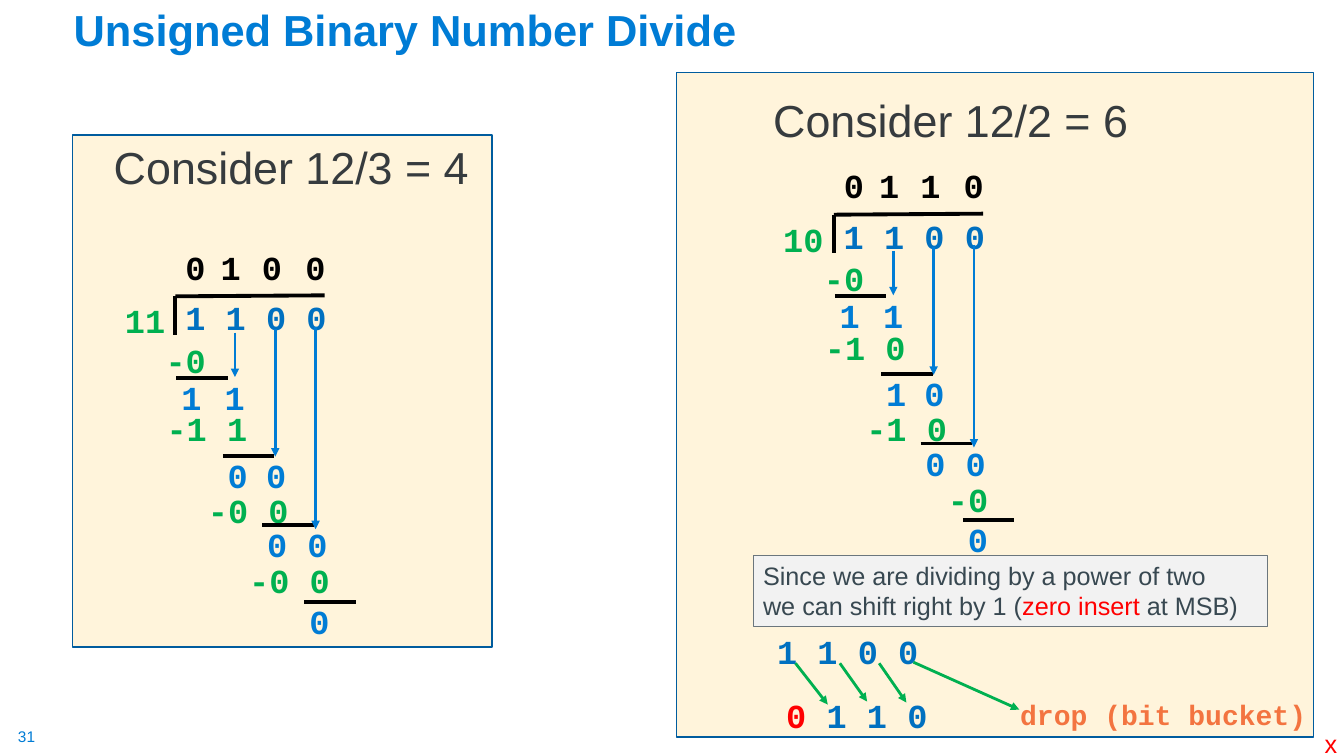
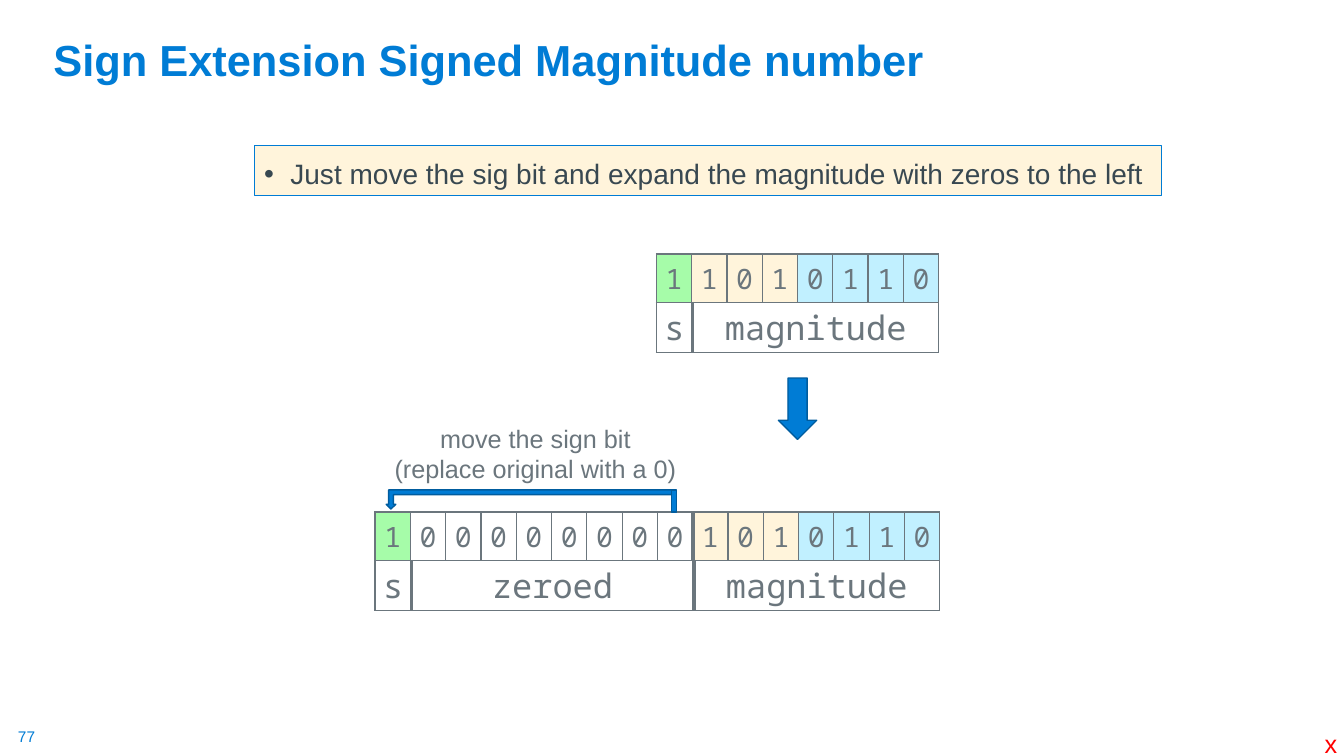
from lxml.etree import SubElement
from pptx import Presentation
from pptx.dml.color import RGBColor
from pptx.enum.shapes import MSO_CONNECTOR, MSO_SHAPE
from pptx.enum.text import MSO_ANCHOR, MSO_AUTO_SIZE, PP_ALIGN
from pptx.oxml.ns import qn
from pptx.util import Inches, Pt

COLORS = {name: RGBColor.from_string(value) for name, value in {
    "blue": "007CD5", "bit blue": "0070C0", "dark blue": "005C9E", "green": "00B050",
    "red": "FF0000", "orange": "F37440", "black": "000000", "heading": "363B3E",
    "body": "384851", "gray": "6B767D", "cream": "FFF4DB", "light gray": "F2F2F2",
    "sign": "A6FCA9", "low bits": "C1F0FF",
}.items()}
SANS, MONO, TABLE_FONT = "Arial", "Courier New", "Noto Sans Mono"


def write(slide, left, top, width, height, text, color, size=24, font=MONO,
          align=PP_ALIGN.LEFT):
    """Add a text box; parts between bars are red, and mono text is bold."""
    box = slide.shapes.add_textbox(Inches(left), Inches(top), Inches(width), Inches(height))
    frame = box.text_frame
    frame.word_wrap = True
    for index, line in enumerate(text.split("\n")):
        paragraph = frame.add_paragraph() if index else frame.paragraphs[0]
        paragraph.alignment = align
        paragraph.font.name, paragraph.font.size = font, Pt(size)
        paragraph.font.bold = font == MONO
        paragraph.font.color.rgb = COLORS[color]
        for position, part in enumerate(line.split("|")):
            if part:
                run = paragraph.add_run()
                run.text = part
                if position % 2:
                    run.font.color.rgb = COLORS["red"]
    return box


def draw_line(slide, x1, y1, x2, y2, color="black", width=2.75, arrow=False):
    line = slide.shapes.add_connector(
        MSO_CONNECTOR.STRAIGHT, Inches(x1), Inches(y1), Inches(x2), Inches(y2))
    line.line.color.rgb = COLORS[color]
    line.line.width = Pt(width)
    if arrow:
        SubElement(line.line._get_or_add_ln(), qn("a:tailEnd"), type="triangle")
    SubElement(line._element.spPr, qn("a:effectLst"))


prs = Presentation()
prs.slide_width, prs.slide_height = Inches(13.33), Inches(7.5)

# Title, slide number and corner mark
slides = []
for layout, number, heading, left, top, width, height in (
    (5, "31", "Unsigned Binary Number Divide", 0.63, 0.1, 12.08, 0.51),
    (1, "77", "Sign Extension Signed Magnitude number", 0.43, 0.32, 12.61, 0.58),
):
    slide = prs.slides.add_slide(prs.slide_layouts[layout])
    slides.append(slide)
    title = slide.shapes.title
    title.left, title.top = Inches(left), Inches(top)
    title.width, title.height = Inches(width), Inches(height)
    title.text_frame.text = heading
    title.text_frame.auto_size = MSO_AUTO_SIZE.NONE
    title.text_frame.vertical_anchor = MSO_ANCHOR.BOTTOM
    paragraph = title.text_frame.paragraphs[0]
    paragraph.alignment = PP_ALIGN.LEFT
    paragraph.line_spacing = 0.9
    paragraph.font.name, paragraph.font.size, paragraph.font.bold = SANS, Pt(31), True
    paragraph.font.color.rgb = COLORS["blue"]
    write(slide, 0.08, 7.16, 0.5, 0.29, number, "blue", 11, SANS)
    write(slide, 13.04, 7.18, 0.29, 0.32, "x", "red", 18, SANS)
divide, extension = slides

# Two long divisions, each placed from the corner of its division bracket
QUOTIENT_X = (0, 0.35, 0.76, 1.19)
STEPS = ((0.38, 0.01, 0.81), (1.06, 0.47, 1.58), (1.87, 0.86, 2.27), (2.57, 1.28, 3.03))
BRING_DOWN = ((0.36, 0.8), (0.32, 1.59), (0.3, 2.31))
for panel, heading_at, (x, y), heading, divisor, quotient, subtrahends, remainders in (
    ((0.72, 1.34, 4.16, 5.08), (1.03, 1.34), (1.74, 2.94), "Consider 12/3 = 4",
     "11", "0100", ("-0", "-1 1", "-0 0", "-0 0"), ("11", "00", "00", "0")),
    ((6.71, 0.72, 6.32, 6.59), (7.57, 0.87), (8.27, 2.13), "Consider 12/2 = 6",
     "10", "0110", ("-0", "-1 0", "-1 0", "-0"), ("11", "10", "00", "0")),
):
    background = divide.shapes.add_shape(MSO_SHAPE.RECTANGLE, *map(Inches, panel))
    background.shadow.inherit = False
    background.fill.solid()
    background.fill.fore_color.rgb = COLORS["cream"]
    background.line.color.rgb = COLORS["dark blue"]
    background.line.width = Pt(1)
    write(divide, *heading_at, 3.8, 0.64, heading, "heading", 32, SANS)

    write(divide, x, y - 0.04, 1.7, 0.5, "1 1 0 0", "bit blue")
    write(divide, x - 0.6, y - 0.01, 0.7, 0.5, divisor, "green")
    draw_line(divide, x, y, x + 1.48, y - 0.01)
    draw_line(divide, x, y + 0.38, x, y)
    for digit, dx in zip(quotient, QUOTIENT_X):
        write(divide, x + dx, y - 0.54, 0.42, 0.5, digit, "black")

    for step, (subtrahend_y, rule_x, rule_y) in enumerate(STEPS):
        write(divide, x - 0.81 + 0.41 * step, y + subtrahend_y, 1.21, 0.5,
              subtrahends[step], "green", align=PP_ALIGN.RIGHT)
        draw_line(divide, x + rule_x, y + rule_y, x + rule_x + 0.51, y + rule_y)
        remainder_x = (rule_x - 0.05, 0.39 + 0.41 * step)
        for digit, dx in zip(remainders[step], remainder_x):
            write(divide, x + dx, y + rule_y - 0.06, 0.42, 0.5, digit, "blue")
    for column, (start, end) in enumerate(BRING_DOWN):
        arrow_x = x + 0.59 + 0.4 * column
        draw_line(divide, arrow_x, y + start, arrow_x, y + end, "blue", 2, arrow=True)

# Shift right in place of dividing by two
write(divide, 7.61, 6.21, 1.7, 0.5, "1 1 0 0", "bit blue")
note = write(divide, 7.47, 5.51, 5.1, 0.71,
             "Since we are dividing by a power of two\n"
             "we can shift right by 1 (|zero insert |at MSB)", "body", 18, SANS)
note.fill.solid()
note.fill.fore_color.rgb = COLORS["light gray"]
note.line.color.rgb = COLORS["gray"]
note.line.width = Pt(0.75)
write(divide, 7.7, 6.84, 1.7, 0.5, "|0| 1 1 0", "bit blue")
for shift in ((7.89, 6.58, 8.21, 6.99), (8.33, 6.58, 8.6, 6.96),
              (8.72, 6.58, 8.99, 6.97), (9.06, 6.57, 10.11, 7.04)):
    draw_line(divide, *shift, "green", 2, arrow=True)
write(divide, 10.02, 6.87, 3.1, 0.44, "drop (bit bucket)", "orange", 20)

# Rule for sign extension
rule = extension.placeholders[1]
rule.left, rule.top, rule.width, rule.height = map(Inches, (2.52, 1.44, 9, 0.5))
rule.fill.solid()
rule.fill.fore_color.rgb = COLORS["cream"]
rule.line.color.rgb = COLORS["blue"]
rule.line.width = Pt(0.75)
rule.text_frame.text = "Just move the sig bit and expand the magnitude with zeros to the left"
rule.text_frame.auto_size = MSO_AUTO_SIZE.NONE
paragraph = rule.text_frame.paragraphs[0]
indent = paragraph._p.get_or_add_pPr()
indent.set("marL", str(Inches(0.26)))
indent.set("indent", str(Inches(-0.26)))
paragraph.line_spacing = 1.2
paragraph.space_before = Pt(0)
paragraph.font.name, paragraph.font.size = SANS, Pt(20)
paragraph.font.color.rgb = COLORS["body"]

# Bit rows and their field labels; thick borders stand at the given column edges
BIT, SIGN, MAGNITUDE = 0.35, 0.36, 2.44
LOW_FILLS = ["cream"] * 3 + ["low bits"] * 4
for left, top, height, size, widths, texts, fills, thick_edges in (
    (6.51, 2.52, 0.48, 20, [BIT] * 8, "11010110", ["sign"] + LOW_FILLS, ()),
    (6.51, 3, 0.5, 24, [SIGN, MAGNITUDE], ["s", "magnitude"], [None] * 2, (1,)),
    (3.72, 5.08, 0.48, 20, [BIT] * 16, "1000000001010110",
     ["sign"] + [None] * 8 + LOW_FILLS, (9,)),
    (3.72, 5.56, 0.5, 24, [SIGN, 8 * BIT, MAGNITUDE], ["s", "zeroed", "magnitude"],
     [None] * 3, (1, 2)),
):
    table = extension.shapes.add_table(
        1, len(widths), Inches(left), Inches(top), Inches(sum(widths)), Inches(height)).table
    table.first_row = table.horz_banding = False
    for column, (width, text, fill) in enumerate(zip(widths, texts, fills)):
        table.columns[column].width = Inches(width)
        cell = table.cell(0, column)
        cell.margin_left = cell.margin_right = cell.margin_top = cell.margin_bottom = 0
        cell.vertical_anchor = MSO_ANCHOR.MIDDLE
        cell.text = text
        paragraph = cell.text_frame.paragraphs[0]
        paragraph.alignment = PP_ALIGN.CENTER
        paragraph.font.name, paragraph.font.size = TABLE_FONT, Pt(size)
        paragraph.font.color.rgb = COLORS["gray"]
        for side, edge in (("L", column), ("R", column + 1), ("T", None), ("B", None)):
            border = SubElement(cell._tc.get_or_add_tcPr(), qn(f"a:ln{side}"),
                                w=str(Pt(3 if edge in thick_edges else 1)))
            border_fill = SubElement(border, qn("a:solidFill"))
            SubElement(border_fill, qn("a:srgbClr"), val=str(COLORS["gray"]))
        if fill:
            cell.fill.solid()
            cell.fill.fore_color.rgb = COLORS[fill]
        else:
            cell.fill.background()

# Sign bit move and the step between the two numbers
write(extension, 3.8, 4.15, 3.02, 0.71, "move the sign bit\n(replace original with a 0)",
      "gray", 18, SANS, PP_ALIGN.CENTER)
for outline, rotation, box in (
    (MSO_SHAPE.BENT_UP_ARROW, 180, (3.83, 4.86, 2.83, 0.19)),
    (MSO_SHAPE.RECTANGLE, 0, (6.66, 4.86, 0.05, 0.22)),
    (MSO_SHAPE.DOWN_ARROW, 0, (7.72, 3.75, 0.38, 0.61)),
):
    pointer = extension.shapes.add_shape(outline, *map(Inches, box))
    pointer.rotation = rotation
    pointer.shadow.inherit = False
    pointer.fill.solid()
    pointer.fill.fore_color.rgb = COLORS["blue"]
    pointer.line.color.rgb = COLORS["dark blue"]
    pointer.line.width = Pt(1)

prs.save("out.pptx")
